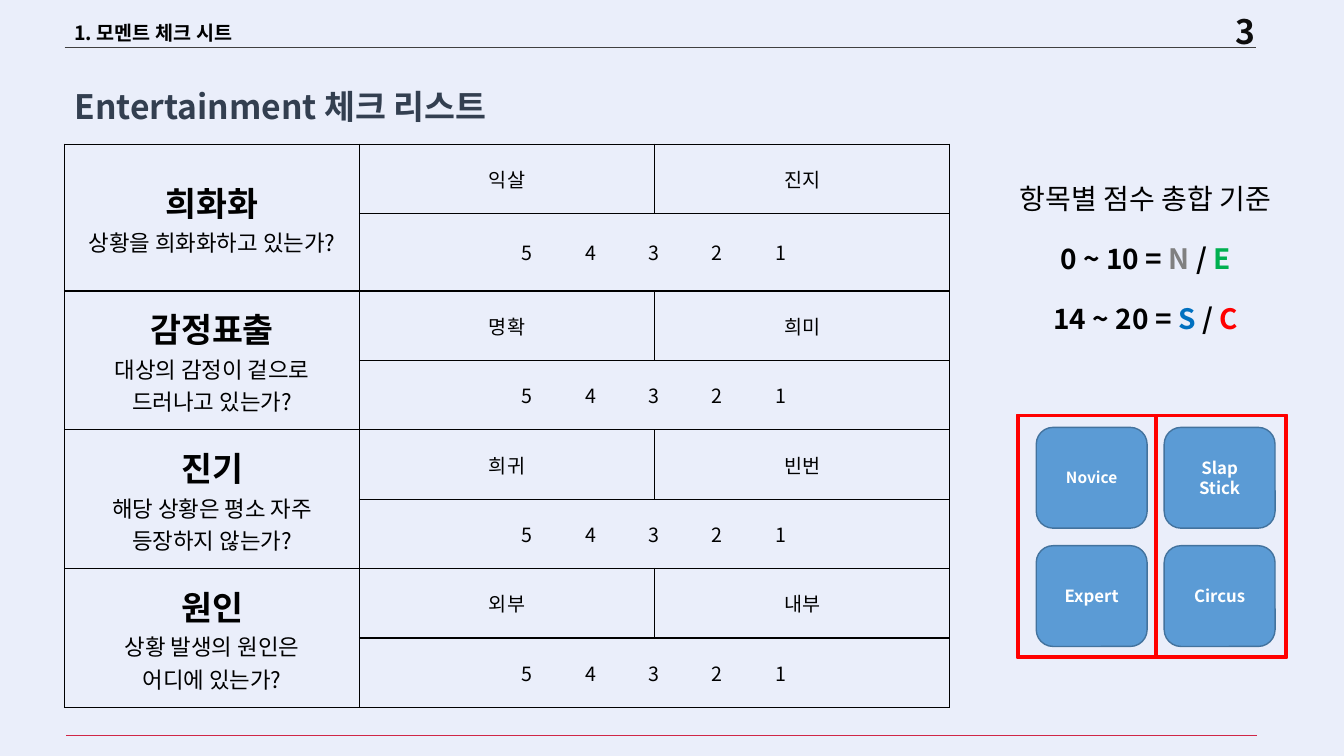
from lxml import etree
from pptx import Presentation
from pptx.dml.color import RGBColor
from pptx.enum.shapes import MSO_CONNECTOR, MSO_SHAPE
from pptx.enum.text import MSO_ANCHOR, MSO_AUTO_SIZE, PP_ALIGN
from pptx.oxml.ns import qn
from pptx.util import Pt

FONT = "Noto Sans CJK KR"
LEFT, CENTER = PP_ALIGN.LEFT, PP_ALIGN.CENTER
TOP, MIDDLE = MSO_ANCHOR.TOP, MSO_ANCHOR.MIDDLE
STRAIGHT = MSO_CONNECTOR.STRAIGHT
ROUNDED, FRAME = MSO_SHAPE.ROUNDED_RECTANGLE, MSO_SHAPE.FRAME

BACKGROUND = RGBColor(0xEA, 0xEE, 0xFA)
BLACK = RGBColor(0, 0, 0)
WHITE = RGBColor(0xFF, 0xFF, 0xFF)
NUMBER = RGBColor(0x0D, 0x0D, 0x0D)
SLATE = RGBColor(0x33, 0x3F, 0x50)
RULE_DARK = RGBColor(0x40, 0x40, 0x40)
RULE_RED = RGBColor(0xD0, 0x26, 0x46)
GRAY = RGBColor(0x80, 0x80, 0x80)
GREEN = RGBColor(0x00, 0xB0, 0x50)
BLUE = RGBColor(0x00, 0x70, 0xC0)
RED = RGBColor(0xFF, 0, 0)
TILE_FILL = RGBColor(0x5B, 0x9B, 0xD5)
TILE_LINE = RGBColor(0x43, 0x73, 0x9E)

CHECKS = [
    ("희화화", ["상황을 희화화하고 있는가?"], "익살", "진지"),
    ("감정표출", ["대상의 감정이 겉으로", "드러나고 있는가?"], "명확", "희미"),
    ("진기", ["해당 상황은 평소 자주", "등장하지 않는가?"], "희귀", "빈번"),
    ("원인", ["상황 발생의 원인은", "어디에 있는가?"], "외부", "내부"),
]
SCORES = "54321"
CRITERIA = [("0 ~ 10 = ", "N ", GRAY, "E", GREEN),
            ("14 ~ 20 = ", "S ", BLUE, "C", RED)]
TILES = [[(["Novice"], 11), (["Slap", "Stick"], 12)],
         [(["Expert"], 12), (["Circus"], 12)]]


def write(tf, text, size, color=BLACK, bold=False, align=CENTER,
          new=True, before=0, spacing=None):
    """Add a run in a new paragraph, or in the last one if new is False."""
    p = tf.paragraphs[-1]
    if new and p.runs:
        p = tf.add_paragraph()
    if new:
        p.alignment = align
        p.space_before = Pt(before)
        if spacing:
            p.line_spacing = spacing
    r = p.add_run()
    r.text = text
    r.font.size = Pt(size)
    r.font.bold = bold
    r.font.color.rgb = color
    r.font.name = FONT
    etree.SubElement(r.font._element, qn("a:ea"), typeface=FONT)
    return p


def add_box(slide, x, y, w, h, anchor=TOP):
    tf = slide.shapes.add_textbox(Pt(x), Pt(y), Pt(w), Pt(h)).text_frame
    tf.word_wrap = True
    tf.auto_size = MSO_AUTO_SIZE.SHAPE_TO_FIT_TEXT
    tf.vertical_anchor = anchor
    return tf


def add_shape(slide, kind, x, y, w, h, fill, line):
    sp = slide.shapes.add_shape(kind, Pt(x), Pt(y), Pt(w), Pt(h))
    sp.shadow.inherit = False
    sp.fill.solid()
    sp.fill.fore_color.rgb = fill
    sp.line.color.rgb = line
    sp.line.width = Pt(1)
    return sp


def add_rule(slide, x, y, w, color):
    line = slide.shapes.add_connector(STRAIGHT, Pt(x), Pt(y), Pt(x + w), Pt(y))
    line.line.color.rgb = color
    line.line.width = Pt(0.5)
    etree.SubElement(line._element.spPr, qn("a:effectLst"))


def add_header(slide, x, y, w):
    write(add_box(slide, x + w - 65.5, y, 116, 28.8), "3", 24, NUMBER, True)
    add_rule(slide, x, y + 29.5, w, RULE_DARK)
    write(add_box(slide, x, y, 227.5, 29.5, MIDDLE), "1. 모멘트 체크 시트",
          14, bold=True, align=LEFT, spacing=1.5)
    write(add_box(slide, x, y + 38.9, 322.6, 51.1, MIDDLE),
          "Entertainment 체크 리스트", 24, SLATE, True, LEFT, spacing=1.5)


def style_cell(cell):
    """Give a cell thin black borders, no fill and middle anchoring."""
    tc_pr = cell._tc.get_or_add_tcPr()
    for side in ("lnL", "lnR", "lnT", "lnB"):
        ln = etree.SubElement(tc_pr, qn("a:" + side), w=str(Pt(1)))
        fill = etree.SubElement(ln, qn("a:solidFill"))
        etree.SubElement(fill, qn("a:srgbClr"), val=str(BLACK))
    cell.fill.background()
    cell.vertical_anchor = MIDDLE


def write_scores(tf, first, step):
    """Write the scores on centred tab stops at equal distances."""
    p = write(tf, "".join("\t" + score for score in SCORES), 14, align=LEFT)
    tabs = etree.SubElement(p._p.get_or_add_pPr(), qn("a:tabLst"))
    for i in range(len(SCORES)):
        etree.SubElement(tabs, qn("a:tab"), pos=str(Pt(first + i * step)),
                         algn="ctr")


def add_checklist(slide, x, y, w, row_h):
    rows = 2 * len(CHECKS)
    table = slide.shapes.add_table(rows, 3, Pt(x), Pt(y), Pt(w),
                                   Pt(rows * row_h)).table
    table.first_row = table.horz_banding = False
    for col in table.columns:
        col.width = Pt(w / 3)
    for row in table.rows:
        row.height = Pt(row_h)
    table.rows[1].height = Pt(row_h + 5.6)
    for cell in table.iter_cells():
        style_cell(cell)
    for i, (name, question, high, low) in enumerate(CHECKS):
        top = 2 * i
        table.cell(top, 0).merge(table.cell(top + 1, 0))
        table.cell(top + 1, 1).merge(table.cell(top + 1, 2))
        tf = table.cell(top, 0).text_frame
        write(tf, name, 24, bold=True)
        for line in question:
            write(tf, line, 16)
        write(table.cell(top, 1).text_frame, high, 14)
        write(table.cell(top, 2).text_frame, low, 14)
        write_scores(table.cell(top + 1, 1).text_frame, 112.5, 45.3)


def add_criteria(slide, x, y, w, h):
    tf = add_box(slide, x, y, w, h)
    write(tf, "항목별 점수 총합 기준", 20)
    for score, first, first_color, second, second_color in CRITERIA:
        write(tf, score, 20, bold=True, before=19)
        for text, color in ((first, first_color), ("/ ", BLACK),
                            (second, second_color)):
            write(tf, text, 20, color, True, new=False)


def add_matrix(slide, x, y, w, h):
    for i, row in enumerate(TILES):
        for j, (lines, size) in enumerate(row):
            sp = add_shape(slide, ROUNDED, x + 13.7 + j * 91.4,
                           y + 9.4 + i * 84.5, 79.2, 72, TILE_FILL, TILE_LINE)
            tf = sp.text_frame
            tf.word_wrap = True
            tf.vertical_anchor = MIDDLE
            for line in lines:
                write(tf, line, size, WHITE, True)
    split = 98.6
    for left, width in ((x, 100.1), (x + split, w - split)):
        sp = add_shape(slide, FRAME, left, y, width, h, RED, RED)
        sp.adjustments[0] = 0.016


def main():
    prs = Presentation()
    prs.slide_width, prs.slide_height = Pt(960), Pt(540)
    slide = prs.slides.add_slide(prs.slide_layouts[6])
    slide.background.fill.solid()
    slide.background.fill.fore_color.rgb = BACKGROUND
    add_header(slide, 46.1, 4.3, 851)
    add_rule(slide, 47.5, 525.6, 850.3, RULE_RED)
    add_checklist(slide, 46.1, 103, 632.2, 49.6)
    add_criteria(slide, 709.9, 126, 216.7, 128.2)
    add_matrix(slide, 726.5, 295.9, 192.9, 174.2)
    prs.save("out.pptx")


if __name__ == "__main__":
    main()
